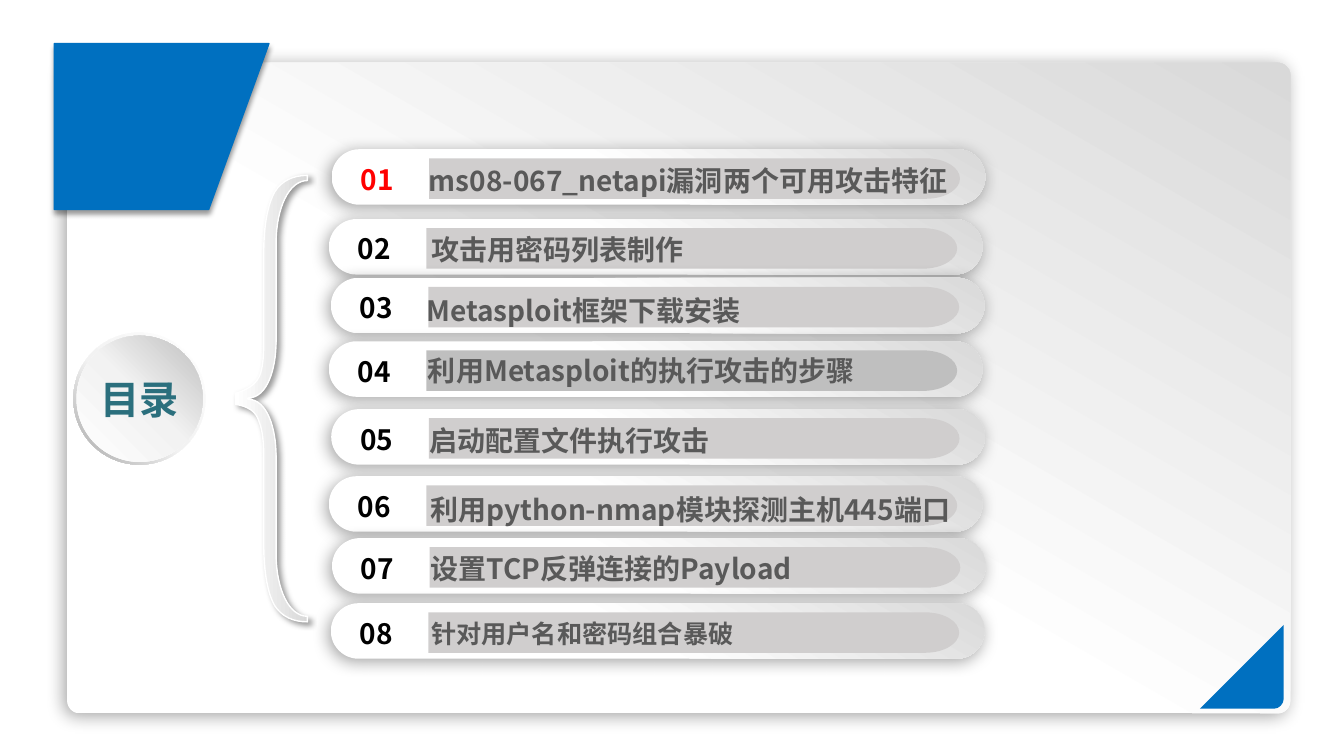
from dataclasses import dataclass
from typing import Optional

from lxml.etree import SubElement
from pptx import Presentation
from pptx.dml.color import RGBColor
from pptx.enum.shapes import MSO_SHAPE
from pptx.enum.text import MSO_ANCHOR, MSO_AUTO_SIZE, PP_ALIGN
from pptx.oxml.ns import qn
from pptx.util import Cm, Pt

FONT = "Noto Sans CJK SC"
BLUE = "0070C0"
Point = tuple[float, float]


@dataclass
class Gradient:
    stops: list[tuple[int, str]]
    angle: int


@dataclass
class Shadow:
    alpha: int
    blur: int
    distance: int
    direction: int


@dataclass
class Row:
    text: str
    left: float
    top: float
    label_left: float
    label_top: float
    number_color: str = "000000"
    bar_color: str = "D0CECE"
    size: int = 20


PANEL_FILL = Gradient([(45, "FFFFFF"), (100, "D9D9D9")], 300)
PANEL_SHADOW = Shadow(34, 12, 3, 135)

ROWS = [
    Row("ms08-067_netapi漏洞两个可用攻击特征", 8.36, 3.76, 10.56, 3.99, number_color="FF0000"),
    Row("攻击用密码列表制作", 8.29, 5.52, 10.62, 5.74),
    Row("Metasploit框架下载安装", 8.34, 7.0, 10.5, 7.26),
    Row("利用Metasploit的执行攻击的步骤", 8.29, 8.6, 10.54, 8.79, bar_color="BFBFBF"),
    Row("启动配置文件执行攻击", 8.35, 10.31, 10.57, 10.54),
    Row("利用python-nmap模块探测主机445端口", 8.29, 12.0, 10.61, 12.29),
    Row("设置TCP反弹连接的Payload", 8.37, 13.56, 10.61, 13.77),
    Row("针对用户名和密码组合暴破", 8.34, 15.2, 10.62, 15.45, size=18),
]


def rgb(color: str) -> RGBColor:
    return RGBColor.from_string(color)


def style(sp, fill: str | Gradient, line: Optional[str] = None, width: float = 1,
          shadow: Optional[Shadow] = None) -> None:
    if isinstance(fill, Gradient):
        sp.fill.gradient()
        sp.fill.gradient_angle = (360 - fill.angle) % 360
        stop_list = sp._element.spPr.find(".//" + qn("a:gsLst"))
        stop_list.clear()
        for position, color in fill.stops:
            stop = SubElement(stop_list, qn("a:gs"), pos=str(position * 1000))
            SubElement(stop, qn("a:srgbClr"), val=color)
    else:
        sp.fill.solid()
        sp.fill.fore_color.rgb = rgb(fill)
    if line:
        sp.line.color.rgb = rgb(line)
        sp.line.width = Pt(width)
    else:
        sp.line.fill.background()
    sp.shadow.inherit = False
    if shadow:
        effects = sp._element.spPr.find(qn("a:effectLst"))
        outer = SubElement(effects, qn("a:outerShdw"), blurRad=str(Pt(shadow.blur)),
                           dist=str(Pt(shadow.distance)),
                           dir=str(shadow.direction * 60000), rotWithShape="0")
        color = SubElement(outer, qn("a:srgbClr"), val="000000")
        SubElement(color, qn("a:alpha"), val=str(shadow.alpha * 1000))


def add_preset(s, kind: MSO_SHAPE, left: float, top: float, width: float, height: float,
               adjust: Optional[float] = None):
    sp = s.shapes.add_shape(kind, Cm(left), Cm(top), Cm(width), Cm(height))
    if adjust is not None:
        sp.adjustments[0] = adjust
    return sp


def add_outline(s, start: Point, segments: list[tuple[Point, ...]]):
    builder = s.shapes.build_freeform(Cm(start[0]), Cm(start[1]))
    builder.add_line_segments([(Cm(x), Cm(y)) for x, y in (seg[-1] for seg in segments)],
                              close=True)
    sp = builder.convert_to_shape()
    steps = list(sp._element.spPr.iter(qn("a:lnTo")))
    for step, segment in zip(steps, segments):
        if len(segment) == 3:
            step.tag
            bend = step.getparent().makeelement(qn("a:cubicBezTo"))
            for x, y in segment:
                SubElement(bend, qn("a:pt"), x=str(Cm(x) - sp.left), y=str(Cm(y) - sp.top))
            step.getparent().replace(step, bend)
    return sp


def write(tf, text: str, size: int, color: str) -> None:
    tf.word_wrap = True
    tf.auto_size = MSO_AUTO_SIZE.NONE
    p = tf.paragraphs[0]
    p.text = text
    p.font.size = Pt(size)
    p.font.bold = True
    p.font.color.rgb = rgb(color)
    p.font.name = FONT
    SubElement(p.font._rPr, qn("a:ea"), typeface=FONT)


def add_text(s, left: float, top: float, width: float, text: str, size: int,
             color: str) -> None:
    sp = s.shapes.add_textbox(Cm(left), Cm(top), Cm(width), Cm(1.12))
    write(sp.text_frame, text, size, color)


def add_backdrop(s) -> None:
    panel = add_preset(s, MSO_SHAPE.ROUNDED_RECTANGLE, 1.69, 1.58, 30.84, 16.4, 0.02)
    style(panel, PANEL_FILL, shadow=PANEL_SHADOW)
    corner = add_outline(s, (32.36, 15.75), [
        ((32.36, 17.61),),
        ((32.36, 17.74), (32.25, 17.86), (32.11, 17.86)),
        ((30.25, 17.86),),
    ])
    style(corner, BLUE)
    tab = add_outline(s, (6.78, 1.1), [((1.37, 1.1),), ((1.37, 5.28),), ((5.26, 5.28),)])
    style(tab, BLUE, BLUE, 1, Shadow(40, 4, 3, 90))


def add_title(s) -> None:
    ring = add_preset(s, MSO_SHAPE.DONUT, 1.85, 8.38, 3.33, 3.33, 0.05)
    style(ring, Gradient([(0, "FFFFFF"), (55, "F2F2F2"), (100, "A6A6A6")], 135))
    disc = add_preset(s, MSO_SHAPE.OVAL, 1.93, 8.46, 3.18, 3.18)
    style(disc, Gradient([(0, "FFFFFF"), (51, "F2F2F2"), (100, "BFBFBF")], 315))
    title = s.shapes.title
    title.left, title.top, title.width, title.height = Cm(1.78), Cm(9.45), Cm(3.5), Cm(1.2)
    tf = title.text_frame
    tf.margin_left = tf.margin_right = tf.margin_top = tf.margin_bottom = 0
    tf.vertical_anchor = MSO_ANCHOR.MIDDLE
    tf.paragraphs[0].alignment = PP_ALIGN.CENTER
    write(tf, "目录", 28, "2B6F7D")
    s.shapes._spTree.append(title._element)


def add_brace(s) -> None:
    brace = add_outline(s, (7.75, 4.42), [
        ((7.75, 4.55),),
        ((7.29, 4.55), (6.96, 5.23), (6.96, 6.15)),
        ((6.96, 8.61),),
        ((6.96, 9.27), (6.75, 10.03), (6.25, 10.03)),
        ((6.25, 10.06),),
        ((6.75, 10.06), (6.96, 10.83), (6.96, 11.48)),
        ((6.96, 13.94),),
        ((6.96, 14.86), (7.29, 15.53), (7.75, 15.53)),
        ((7.75, 15.67),),
        ((7.39, 15.67), (7.11, 15.54), (6.93, 15.27)),
        ((6.76, 14.99), (6.65, 14.45), (6.65, 13.74)),
        ((6.65, 11.58),),
        ((6.65, 11.2), (6.63, 10.87), (6.53, 10.62)),
        ((6.45, 10.36), (6.25, 10.24), (5.94, 10.19)),
        ((5.94, 9.91),),
        ((6.22, 9.83), (6.43, 9.7), (6.53, 9.5)),
        ((6.63, 9.3), (6.65, 8.97), (6.65, 8.51)),
        ((6.65, 6.35),),
        ((6.65, 5.64), (6.76, 5.13), (6.93, 4.83)),
        ((7.11, 4.55), (7.39, 4.42), (7.75, 4.42)),
    ])
    style(brace, Gradient([(0, "FFFFFF"), (100, "D9D9D9")], 0), "FFFFFF", 1,
          Shadow(40, 4, 3, 45))


def add_row(s, number: int, row: Row) -> None:
    pill = add_preset(s, MSO_SHAPE.ROUNDED_RECTANGLE, row.left, row.top, 16.48, 1.4, 0.5)
    style(pill, PANEL_FILL, shadow=PANEL_SHADOW)
    left, top = row.left + 2.46, row.top + 0.23
    right, middle, bottom = left + 13.38, top + 0.51, top + 1.02
    bend = right - 0.86
    bar = add_outline(s, (left, top), [
        ((bend, top),),
        ((right - 0.38, top), (right, top + 0.23), (right, middle)),
        ((right, bottom - 0.23), (right - 0.38, bottom), (bend, bottom)),
        ((left, bottom),),
    ])
    style(bar, row.bar_color)
    add_text(s, row.left + 0.48, row.top + 0.2, 2, f"{number:02d}", 20, row.number_color)
    add_text(s, row.label_left, row.label_top, 15, row.text, row.size, "595959")


def main() -> None:
    prs = Presentation()
    prs.slide_width, prs.slide_height = Cm(33.88), Cm(19.05)
    s = prs.slides.add_slide(prs.slide_layouts[5])
    add_backdrop(s)
    add_title(s)
    add_brace(s)
    for number, row in enumerate(ROWS, 1):
        add_row(s, number, row)
    prs.save("out.pptx")


if __name__ == "__main__":
    main()
